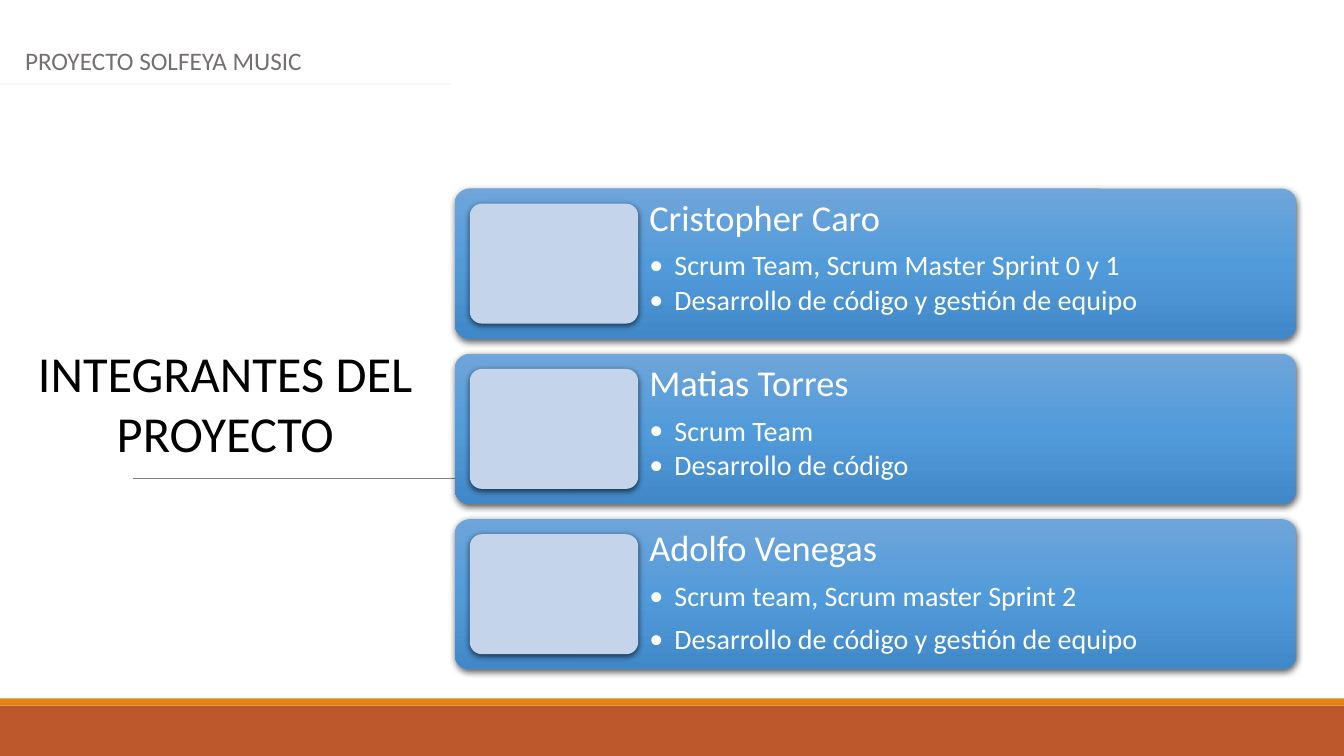
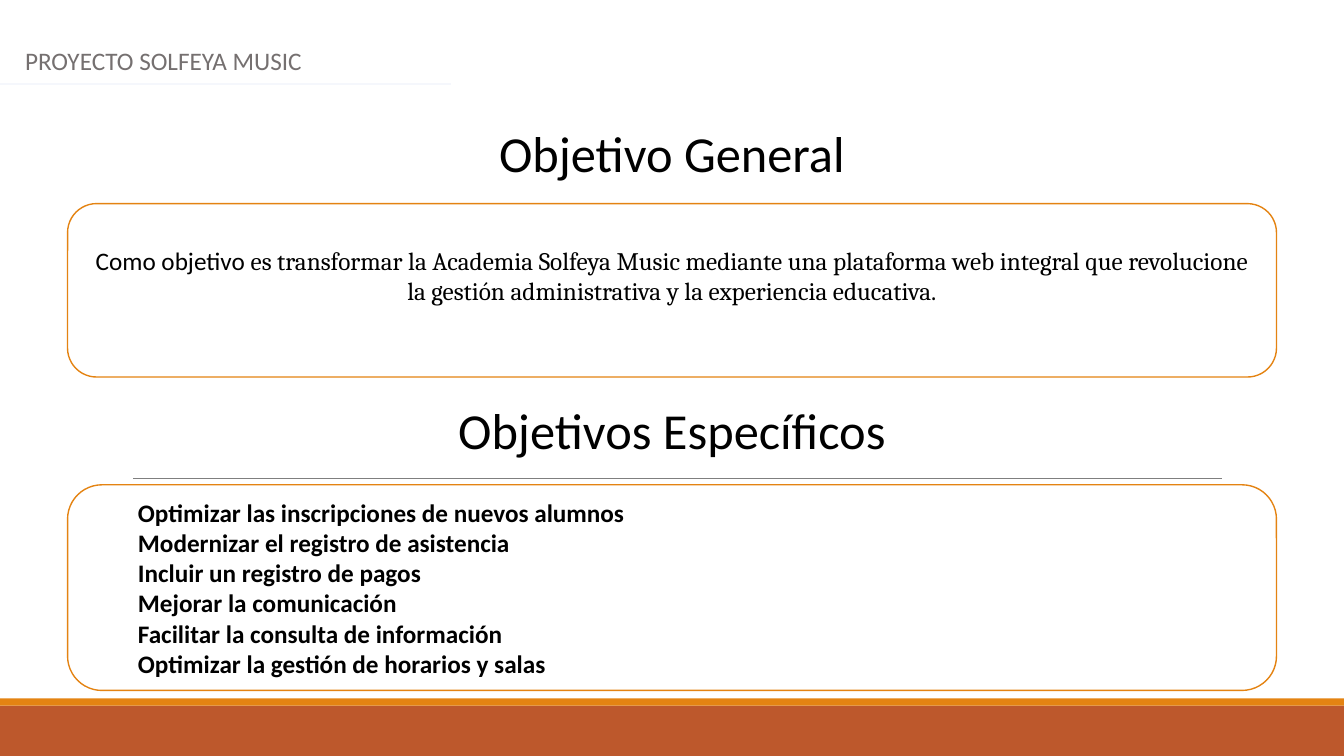
"""Build the team and objectives slides of the Solfeya Music project."""
from copy import deepcopy

from lxml.etree import SubElement
from pptx import Presentation
from pptx.dml.color import RGBColor
from pptx.enum.shapes import MSO_CONNECTOR as Connector, MSO_SHAPE as Shape
from pptx.enum.text import MSO_ANCHOR as Anchor, PP_ALIGN as Align
from pptx.oxml.ns import qn
from pptx.util import Inches, Pt

RUST = RGBColor(0xBD, 0x58, 0x2C)
ORANGE = RGBColor(0xE4, 0x83, 0x12)
RULE_GRAY = RGBColor(0x7F, 0x7F, 0x7F)
HEADER_GRAY = RGBColor(0x75, 0x70, 0x70)
PALE = RGBColor(0xF5, 0xF7, 0xFC)
PHOTO_BLUE = RGBColor(0xC3, 0xD4, 0xEB)
WHITE = RGBColor(0xFF, 0xFF, 0xFF)
BLACK = RGBColor(0, 0, 0)
CARD_STOPS = [
    (0, RGBColor(0x6E, 0xA5, 0xDA)),
    (0.5, RGBColor(0x52, 0x9B, 0xDA)),
    (1, RGBColor(0x41, 0x88, 0xC8)),
]

SLIDE_W, SLIDE_H = 13.33, 7.5
HEADER = "PROYECTO SOLFEYA MUSIC"
TEAM_TITLE = "INTEGRANTES DEL PROYECTO"
TEAM = [
    ("Cristopher Caro", [
        ("Scrum Team, Scrum Master Sprint 0 y 1", 9.1),
        ("Desarrollo de código y gestión de equipo", 3),
    ]),
    ("Matias Torres", [
        ("Scrum Team", 9.1),
        ("Desarrollo de código", 3),
    ]),
    ("Adolfo Venegas", [
        ("Scrum team, Scrum master Sprint 2", 9.1),
        ("Desarrollo de código y gestión de equipo", 9.1),
    ]),
]
GENERAL_TITLE = "Objetivo General"
GENERAL = [
    ("Como objetivo ", "Calibri"),
    ("es transformar la Academia Solfeya Music mediante una plataforma web "
     "integral que revolucione la gestión administrativa y la experiencia "
     "educativa.", "Cambria"),
]
SPECIFIC_TITLE = "Objetivos Específicos"
SPECIFIC = [
    "Optimizar las inscripciones de nuevos alumnos",
    "Modernizar el registro de asistencia",
    "Incluir un registro de pagos",
    "Mejorar la comunicación",
    "Facilitar la consulta de información",
    "Optimizar la gestión de horarios y salas",
]

CARD_LEFT, CARD_TOP, CARD_W, CARD_H, CARD_STEP = 4.51, 1.87, 8.35, 1.49, 1.64
PHOTO_W, PHOTO_H, PHOTO_INSET = 1.67, 1.19, 0.15


def add_run(paragraph, text, size, color=BLACK, font="Calibri", bold=False):
    run = paragraph.add_run()
    run.text = text
    run.font.size, run.font.name, run.font.bold = Pt(size), font, bold
    run.font.color.rgb = color


def next_paragraph(frame, align=Align.LEFT):
    first = frame.paragraphs[0]
    paragraph = frame.add_paragraph() if first.runs else first
    paragraph.alignment = align
    return paragraph


def indent(paragraph, margin, hanging=0):
    paragraph.level = 1
    properties = paragraph._p.get_or_add_pPr()
    properties.set("marL", str(Inches(margin)))
    properties.set("indent", str(-Inches(hanging)))
    return properties


def add_box(slide, kind, left, top, width, height, fill=None, corner=None):
    box = slide.shapes.add_shape(
        kind, Inches(left), Inches(top), Inches(width), Inches(height))
    box.shadow.inherit = False
    box.line.fill.background()
    if corner is not None:
        box.adjustments[0] = corner
    if fill is not None:
        box.fill.solid()
        box.fill.fore_color.rgb = fill
    return box


def add_text_frame(slide, left, top, width, height):
    frame = slide.shapes.add_textbox(
        Inches(left), Inches(top), Inches(width), Inches(height)).text_frame
    frame.word_wrap = True
    return frame


def add_rule(slide, start, end, y, color, weight):
    rule = slide.shapes.add_connector(
        Connector.STRAIGHT, Inches(start), Inches(y), Inches(end), Inches(y))
    rule.line.color.rgb, rule.line.width = color, Pt(weight)
    SubElement(rule._element.spPr, qn("a:effectLst"))


def add_title(slide, text, left, top, width, height=0.71):
    frame = add_text_frame(slide, left, top, width, height)
    add_run(next_paragraph(frame, Align.CENTER), text, 36)


def add_base_slide(deck):
    slide = deck.slides.add_slide(deck.slide_layouts[6])
    add_box(slide, Shape.RECTANGLE, 0, 7, SLIDE_W, 0.5, RUST)
    add_box(slide, Shape.RECTANGLE, 0, 6.93, SLIDE_W, 0.07, ORANGE)
    add_rule(slide, 1.32, 12.12, 4.75, RULE_GRAY, 0.75)
    header = add_text_frame(slide, 0.15, 0.4, SLIDE_W - 0.15, 0.4)
    add_run(next_paragraph(header), HEADER, 18, HEADER_GRAY)
    add_rule(slide, 0, 4.47, 0.83, PALE, 1.25)
    return slide


def cast_shadow(box):
    effects = box._element.spPr.find(qn("a:effectLst"))
    shadow = SubElement(
        effects, qn("a:outerShdw"), blurRad=str(Pt(4.5)), dist=str(Pt(1.5)),
        dir="5400000", algn="ctr", rotWithShape="0")
    color = SubElement(shadow, qn("a:srgbClr"), val=str(BLACK))
    SubElement(color, qn("a:alpha"), val="62000")


def fill_gradient(box):
    box.fill.gradient()
    box.fill.gradient_angle = 270
    stops = box._element.spPr.find(qn("a:gradFill")).find(qn("a:gsLst"))
    stops.insert(1, deepcopy(stops[0]))
    for stop, (position, color) in zip(box.fill.gradient_stops, CARD_STOPS):
        stop.position, stop.color.rgb = position, color


def add_member(slide, top, name, roles):
    card = add_box(slide, Shape.ROUNDED_RECTANGLE, CARD_LEFT, top,
                   CARD_W, CARD_H, corner=0.1)
    fill_gradient(card)
    photo = add_box(slide, Shape.ROUNDED_RECTANGLE, CARD_LEFT + PHOTO_INSET,
                    top + PHOTO_INSET, PHOTO_W, PHOTO_H, PHOTO_BLUE, 0.1)
    for box in (card, photo):
        cast_shadow(box)

    offset = PHOTO_INSET + PHOTO_W
    frame = add_text_frame(slide, CARD_LEFT + offset, top,
                           CARD_W - offset, CARD_H)
    frame.margin_left = frame.margin_right = Inches(0.11)
    frame.margin_top = frame.margin_bottom = Inches(0.11)
    heading = next_paragraph(frame)
    heading.line_spacing = 0.9
    add_run(heading, name, 26, WHITE)
    for role, gap in roles:
        paragraph = next_paragraph(frame)
        paragraph.line_spacing, paragraph.space_before = 0.9, Pt(gap)
        properties = indent(paragraph, 0.25, 0.25)
        SubElement(properties, qn("a:buFont"), typeface="Calibri")
        SubElement(properties, qn("a:buChar"), char="•")
        add_run(paragraph, role, 20, WHITE)


def add_panel(slide, top, height):
    panel = add_box(slide, Shape.ROUNDED_RECTANGLE, 0.67, top, 11.99, height,
                    WHITE, 0.167)
    panel.line.color.rgb, panel.line.width = ORANGE, Pt(1)
    frame = panel.text_frame
    frame.word_wrap, frame.vertical_anchor = True, Anchor.MIDDLE
    return frame


def build_team(deck):
    slide = add_base_slide(deck)
    for row, (name, roles) in enumerate(TEAM):
        add_member(slide, CARD_TOP + row * CARD_STEP, name, roles)
    add_title(slide, TEAM_TITLE, 0.26, 3.34, 3.95, 1.31)


def build_objectives(deck):
    slide = add_base_slide(deck)
    add_title(slide, GENERAL_TITLE, 0, 1.16, SLIDE_W)
    add_title(slide, SPECIFIC_TITLE, 0, 3.91, SLIDE_W)

    general = add_panel(slide, 2.02, 1.72)
    general.margin_bottom = Inches(0.35)
    statement = next_paragraph(general, Align.CENTER)
    for text, font in GENERAL:
        add_run(statement, text, 18, font=font)

    specific = add_panel(slide, 4.81, 2.04)
    for goal in SPECIFIC:
        paragraph = next_paragraph(specific)
        indent(paragraph, 0.5)
        add_run(paragraph, goal, 18, bold=True)


def main():
    deck = Presentation()
    deck.slide_width, deck.slide_height = Inches(SLIDE_W), Inches(SLIDE_H)
    build_team(deck)
    build_objectives(deck)
    deck.save("out.pptx")


if __name__ == "__main__":
    main()
